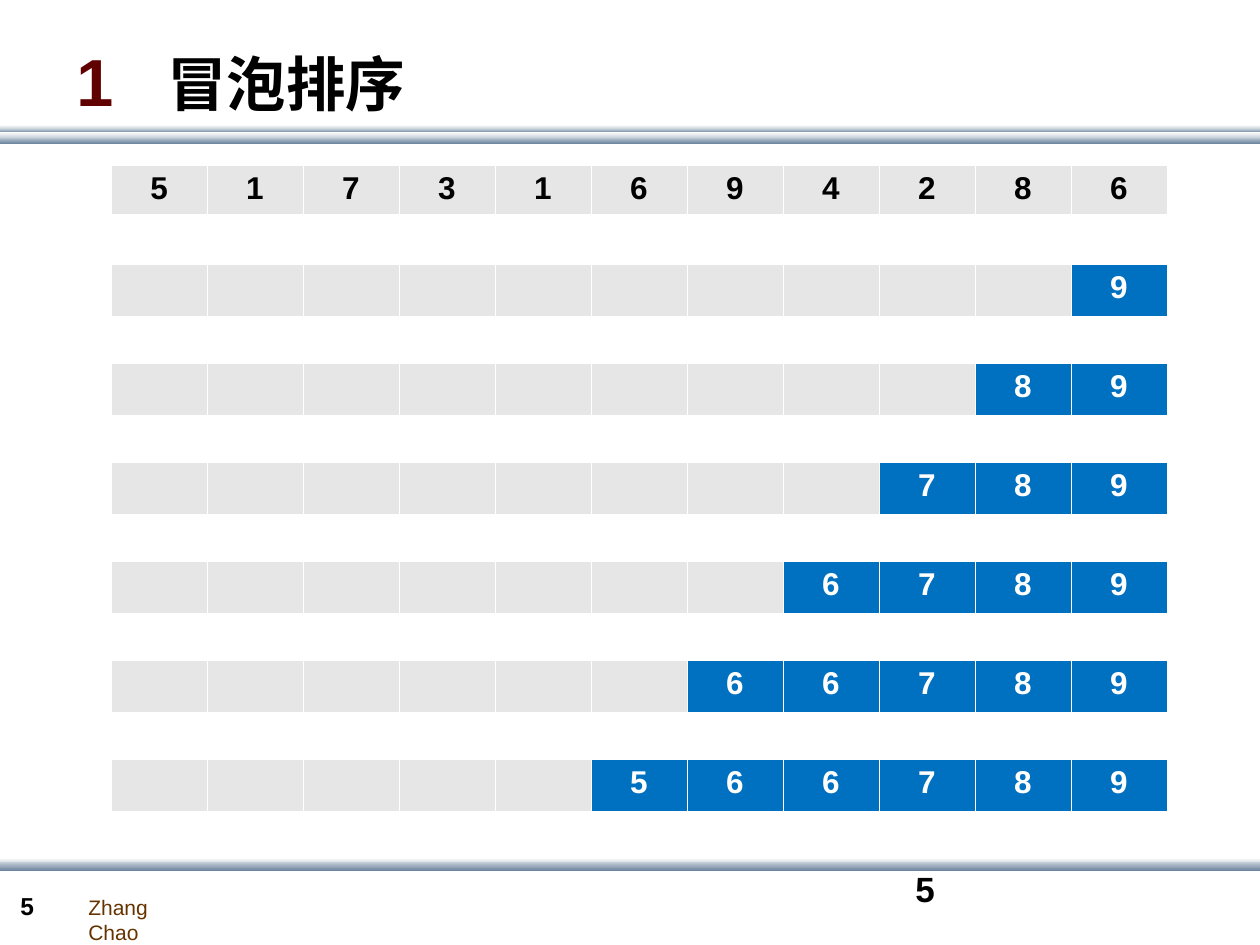
"""Build the bubble sort slide with one table per sorting pass."""
from lxml.etree import SubElement
from pptx import Presentation
from pptx.dml.color import RGBColor
from pptx.enum.shapes import MSO_SHAPE
from pptx.enum.text import MSO_ANCHOR, PP_ALIGN
from pptx.oxml.ns import qn
from pptx.util import Pt

PX = 914400 / 126
FONT = "Arial"
COLORS = {
    "white": "FFFFFF", "black": "000000", "maroon": "600000", "brown": "663300",
    "pale": "C8D1DA", "slate": "6A839C", "unsorted": "E6E6E6", "sorted": "0070C0",
}

TITLE = [("1\t", 38, "maroon"), ("冒泡排序", 34, "black")]
NUMBERS = [5, 1, 7, 3, 1, 6, 9, 4, 2, 8, 6]
PASSES = 6
BARS = [
    (137, 7, "pale", "slate"),
    (129, 4, "pale", "slate"),
    (132, 6, "white", "pale"),
    (125, 4, "white", "pale"),
    (858, 6, "white", "pale"),
    (862, 9, "pale", "slate"),
]
FOOTERS = [
    ("Zhang Chao", (76, 888, 140, 38), 12, "brown", False),
    ("5", (8, 885, 69, 43), 14, "black", True),
    ("5", (903, 861, 294, 63), 20, "black", True),
]
TABLE_LEFT, TABLE_TOP, PASS_PITCH = 111, 165, 99
CELL_WIDTH, START_HEIGHT, PASS_HEIGHT = 96, 49, 53
TITLE_TAB = 91
BORDERS = {"a:lnL": 0.45, "a:lnR": 0.45, "a:lnT": 0.45, "a:lnB": 1.47}


def px(length):
    return round(length * PX)


def color(name):
    return RGBColor.from_string(COLORS[name])


def style(font, size, ink, bold=True):
    font.name, font.size, font.bold = FONT, Pt(size), bold
    font.color.rgb = color(ink)


def add_bar(slide, top, height, upper, lower):
    bar = slide.shapes.add_shape(MSO_SHAPE.RECTANGLE, 0, px(top), px(1260), px(height))
    bar.shadow.inherit = False
    bar.line.fill.background()
    bar.fill.gradient()
    bar.fill.gradient_angle = 270
    for stop, name in zip(bar.fill.gradient_stops, (upper, lower)):
        stop.color.rgb = color(name)


def add_text_frame(slide, box):
    frame = slide.shapes.add_textbox(*map(px, box)).text_frame
    frame.word_wrap = True
    return frame


def add_title(slide):
    frame = add_text_frame(slide, (64, 26, 1134, 107))
    frame.vertical_anchor = MSO_ANCHOR.MIDDLE
    heading = frame.paragraphs[0]
    tabs = SubElement(heading._p.get_or_add_pPr(), qn("a:tabLst"))
    SubElement(tabs, qn("a:tab"), pos=str(px(TITLE_TAB)), algn="l")
    for text, size, ink in TITLE:
        run = heading.add_run()
        run.text = text
        style(run.font, size, ink)


def fill_cell(cell, value, fill, ink):
    properties = cell._tc.get_or_add_tcPr()
    for side, width in BORDERS.items():
        border = SubElement(properties, qn(side), w=str(Pt(width)))
        solid = SubElement(border, qn("a:solidFill"))
        SubElement(solid, qn("a:srgbClr"), val=COLORS["white"])
    cell.fill.solid()
    cell.fill.fore_color.rgb = color(fill)
    cell.text = value
    number = cell.text_frame.paragraphs[0]
    number.alignment = PP_ALIGN.CENTER
    style(number.font, 18, ink)


def add_pass(slide, step):
    count = len(NUMBERS)
    height = PASS_HEIGHT if step else START_HEIGHT
    table = slide.shapes.add_table(
        1, count, px(TABLE_LEFT), px(TABLE_TOP + step * PASS_PITCH),
        px(count * CELL_WIDTH), px(height)).table
    table.first_row = table.horz_banding = False
    ordered = sorted(NUMBERS)
    for index, start in enumerate(NUMBERS):
        table.columns[index].width = px(CELL_WIDTH)
        if index >= count - step:
            look = str(ordered[index]), "sorted", "white"
        else:
            look = "" if step else str(start), "unsorted", "black"
        fill_cell(table.cell(0, index), *look)


def main():
    deck = Presentation()
    deck.slide_width, deck.slide_height = px(1260), px(945)
    slide = deck.slides.add_slide(deck.slide_layouts[6])
    for bar in BARS:
        add_bar(slide, *bar)
    for text, box, size, ink, bold in FOOTERS:
        footer = add_text_frame(slide, box).paragraphs[0]
        footer.text = text
        style(footer.font, size, ink, bold)
    for step in range(PASSES + 1):
        add_pass(slide, step)
    add_title(slide)
    deck.save("out.pptx")


if __name__ == "__main__":
    main()
